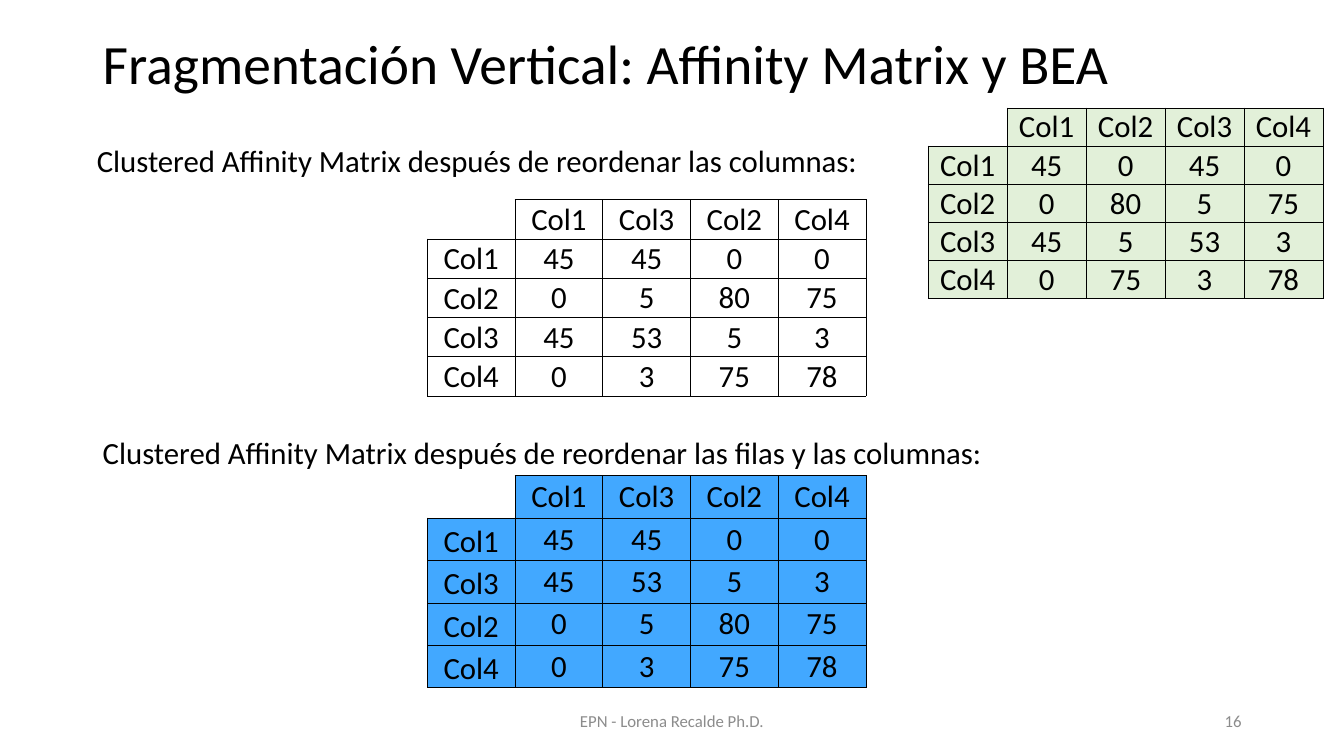
from pptx import Presentation
from pptx.dml.color import RGBColor
from pptx.enum.text import MSO_ANCHOR, PP_ALIGN
from pptx.oxml import parse_xml
from pptx.oxml.ns import nsdecls
from pptx.util import Cm, Pt

LEFT, CENTER, RIGHT = PP_ALIGN.LEFT, PP_ALIGN.CENTER, PP_ALIGN.RIGHT
TOP, MIDDLE, BOTTOM = MSO_ANCHOR.TOP, MSO_ANCHOR.MIDDLE, MSO_ANCHOR.BOTTOM

BLACK = RGBColor(0x00, 0x00, 0x00)
GRAY = RGBColor(0x8C, 0x8C, 0x8C)
BLUE = RGBColor(0x42, 0xA8, 0xFF)
GREEN = RGBColor(0xE2, 0xF0, 0xD9)

FONT = "Calibri"
BODY_SIZE = 22
AFFINITY = {
    "Col1": {"Col1": 45, "Col2": 0, "Col3": 45, "Col4": 0},
    "Col2": {"Col1": 0, "Col2": 80, "Col3": 5, "Col4": 75},
    "Col3": {"Col1": 45, "Col2": 5, "Col3": 53, "Col4": 3},
    "Col4": {"Col1": 0, "Col2": 75, "Col3": 3, "Col4": 78},
}
INITIAL_ORDER = ["Col1", "Col2", "Col3", "Col4"]
CLUSTERED_ORDER = ["Col1", "Col3", "Col2", "Col4"]


def style_paragraph(paragraph, size, color, align):
    paragraph.alignment = align
    paragraph.font.name = FONT
    paragraph.font.size = Pt(size)
    paragraph.font.color.rgb = color


def add_text(slide, text, left, top, width, height, size=BODY_SIZE,
             color=BLACK, align=LEFT, anchor=MIDDLE, wrap=True):
    shape = slide.shapes.add_textbox(Cm(left), Cm(top), Cm(width), Cm(height))
    frame = shape.text_frame
    frame.word_wrap = wrap
    frame.vertical_anchor = anchor
    paragraph = frame.paragraphs[0]
    paragraph.text = text
    style_paragraph(paragraph, size, color, align)
    return paragraph


def set_borders(cell, visible_sides):
    """Draw thin black lines on the given sides (L, R, T, B) and none elsewhere."""
    properties = cell._tc.get_or_add_tcPr()
    for side in "LRTB":
        if side in visible_sides:
            line = f'<a:solidFill><a:srgbClr val="{BLACK}"/></a:solidFill>'
        else:
            line = "<a:noFill/>"
        properties.append(parse_xml(
            f'<a:ln{side} {nsdecls("a")} w="{Pt(0.5)}">{line}</a:ln{side}>'))


def fill_cell(cell, text, anchor, fill_color):
    cell.text = text
    cell.vertical_anchor = anchor
    cell.margin_left = cell.margin_right = cell.margin_top = Cm(0.02)
    cell.margin_bottom = 0
    style_paragraph(cell.text_frame.paragraphs[0], BODY_SIZE, BLACK, CENTER)
    set_borders(cell, "LRTB" if text else "RB")
    if text and fill_color:
        cell.fill.solid()
        cell.fill.fore_color.rgb = fill_color
    else:
        cell.fill.background()


def add_matrix(slide, row_order, column_order, left, top,
               column_width, row_height, fill_color=None):
    """Add the affinity table with its rows and columns in the given orders."""
    grid = [["", *column_order]]
    for row_name in row_order:
        values = [str(AFFINITY[row_name][name]) for name in column_order]
        grid.append([row_name, *values])
    count = len(grid)
    table = slide.shapes.add_table(
        count, count, Cm(left), Cm(top),
        Cm(column_width * count), Cm(row_height * count)).table
    table.first_row = table.horz_banding = False
    for column in table.columns:
        column.width = Cm(column_width)
    for row_index, texts in enumerate(grid):
        table.rows[row_index].height = Cm(row_height)
        for column_index, text in enumerate(texts):
            anchor = BOTTOM if row_index and not column_index else MIDDLE
            fill_cell(table.cell(row_index, column_index), text, anchor, fill_color)


def main():
    presentation = Presentation()
    presentation.slide_width, presentation.slide_height = Cm(33.87), Cm(19.05)
    slide = presentation.slides.add_slide(presentation.slide_layouts[6])

    title = add_text(slide, "Fragmentación Vertical: Affinity Matrix y BEA",
                     2.34, 1.02, 29.21, 1.3, size=39.6)
    title.line_spacing = 0.9
    add_text(slide, "EPN - Lorena Recalde Ph.D.", 11.22, 17.66, 11.43, 1.01,
             size=12, color=GRAY, align=CENTER)
    add_text(slide, "16", 23.92, 17.66, 7.62, 1.01,
             size=12, color=GRAY, align=RIGHT)

    add_text(slide, "Clustered Affinity Matrix después de reordenar las columnas:",
             2.19, 3.45, 19.9, 1.2, anchor=TOP, wrap=False)
    add_text(slide, "Clustered Affinity Matrix después de reordenar las filas y las columnas:",
             2.34, 10.8, 22.93, 1.2, anchor=TOP, wrap=False)

    add_matrix(slide, INITIAL_ORDER, CLUSTERED_ORDER, 10.77, 5.03, 2.21, 0.99)
    add_matrix(slide, CLUSTERED_ORDER, CLUSTERED_ORDER, 10.77, 11.98, 2.21, 1.07, BLUE)
    add_matrix(slide, INITIAL_ORDER, INITIAL_ORDER, 23.39, 2.72, 1.99, 0.96, GREEN)

    presentation.save("out.pptx")


if __name__ == "__main__":
    main()
